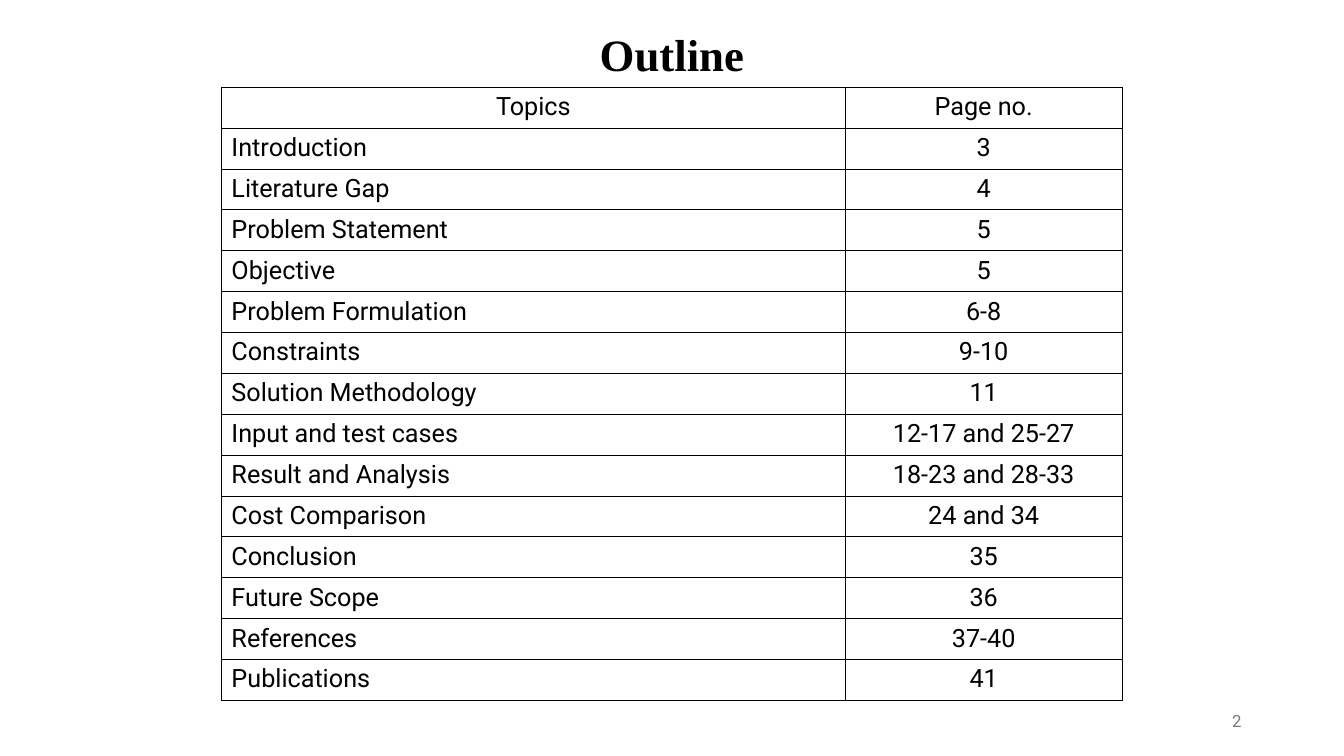
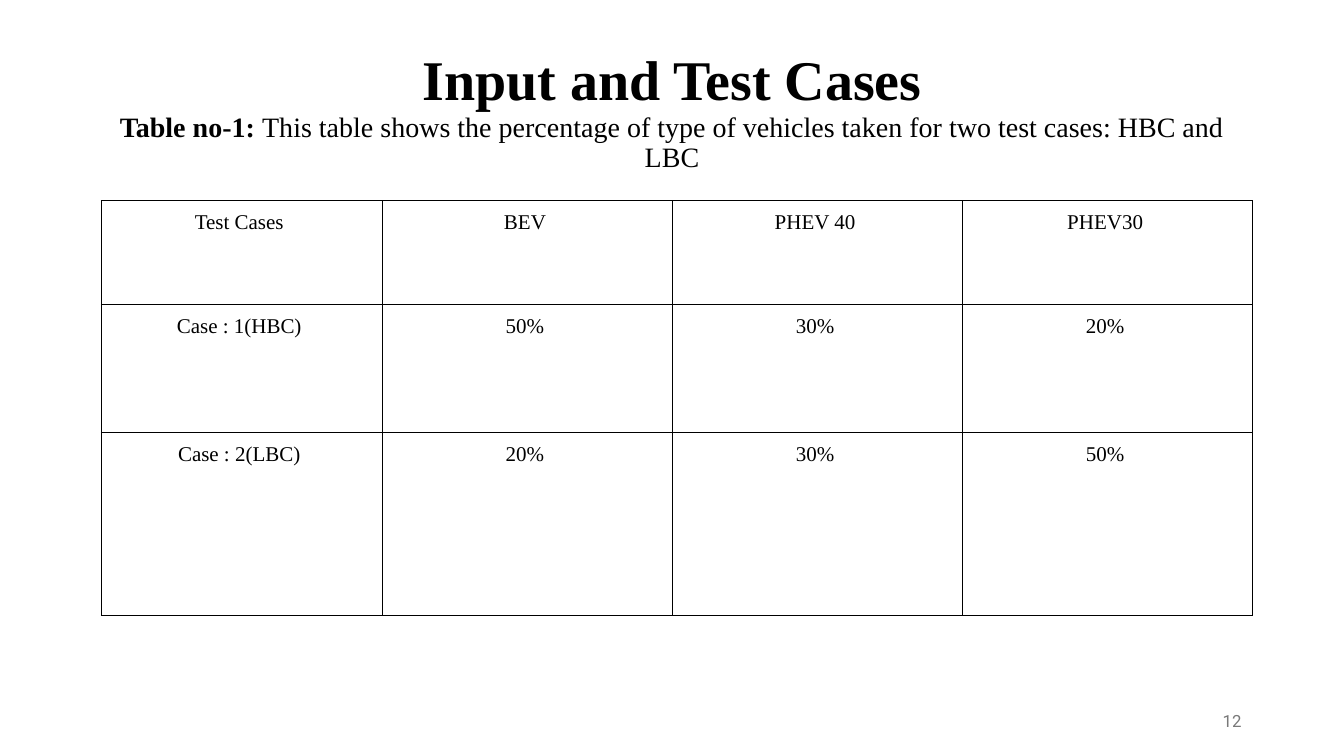
"""Build the outline and test-case slides."""
import pptx
import pptx.dml.color
import pptx.enum.text
import pptx.oxml
import pptx.oxml.ns
import pptx.util

Cm, Pt = pptx.util.Cm, pptx.util.Pt
ALIGN = pptx.enum.text.PP_ALIGN
MIDDLE = pptx.enum.text.MSO_ANCHOR.MIDDLE
BLACK, GREY = "000000", "797979"
SERIF, SANS = "Times New Roman", "Roboto"
LEFT, WIDE = 2.33, 29.21

TOPICS = [
    ("Topics", "Page no."),
    ("Introduction", "3"),
    ("Literature Gap", "4"),
    ("Problem Statement", "5"),
    ("Objective", "5"),
    ("Problem Formulation", "6-8"),
    ("Constraints", "9-10"),
    ("Solution Methodology", "11"),
    ("Input and test cases", "12-17 and 25-27"),
    ("Result and Analysis", "18-23 and 28-33"),
    ("Cost Comparison", "24 and 34"),
    ("Conclusion", "35"),
    ("Future Scope", "36"),
    ("References", "37-40"),
    ("Publications", "41"),
]
CASES = [
    ("Test Cases", "BEV", "PHEV 40", "PHEV30"),
    ("Case : 1(HBC)", "50%", "30%", "20%"),
    ("Case : 2(LBC)", "20%", "30%", "50%"),
]
LABEL = "Table no-1: "
NOTE = ("This table shows the percentage of type of vehicles taken "
        "for two test cases: HBC and LBC")


def color(code):
    return pptx.dml.color.RGBColor.from_string(code)


def style(para, name, size, code=BLACK, align=ALIGN.CENTER):
    para.alignment = align
    font = para.font
    font.name, font.size = name, Pt(size)
    font.color.rgb = color(code)


def add_text(slide, left, top, width, height):
    box = slide.shapes.add_textbox(Cm(left), Cm(top), Cm(width), Cm(height))
    frame = box.text_frame
    frame.word_wrap = True
    frame.vertical_anchor = MIDDLE
    return frame.paragraphs[0]


def add_slide(deck, title, top, height, size, number):
    slide = deck.slides.add_slide(deck.slide_layouts[6])
    head = add_text(slide, LEFT, top, WIDE, height)
    head.line_spacing = 0.9
    run = head.add_run()
    run.text = title
    run.font.bold = True
    style(head, SERIF, size)
    foot = add_text(slide, 23.92, 17.66, 7.62, 1.01)
    foot.text = number
    style(foot, SANS, 12, GREY, ALIGN.RIGHT)
    return slide, head


def add_border(cell):
    props = cell._tc.get_or_add_tcPr()
    space = pptx.oxml.ns.nsdecls("a")
    for spot, side in enumerate("LRTB"):
        line = pptx.oxml.parse_xml(
            f'<a:ln{side} {space} w="{Pt(0.75)}"><a:solidFill>'
            f'<a:srgbClr val="{BLACK}"/></a:solidFill></a:ln{side}>')
        props.insert(spot, line)


def add_table(slide, data, left, top, cols, rows):
    table = slide.shapes.add_table(
        len(rows), len(cols), Cm(left), Cm(top),
        Cm(sum(cols)), Cm(sum(rows))).table
    table.first_row = table.horz_banding = False
    for col, width in zip(table.columns, cols):
        col.width = Cm(width)
    for row, height, texts in zip(table.rows, rows, data):
        row.height = Cm(height)
        for cell, text in zip(row.cells, texts):
            cell.text = text
            cell.fill.background()
            add_border(cell)
    return table


def add_outline(deck):
    slide, _ = add_slide(deck, "Outline", 0.23, 2.41, 32, "2")
    table = add_table(slide, TOPICS, 5.58, 2.2,
                      [15.72, 6.98], [1.03] * len(TOPICS))
    for r, row in enumerate(table.rows):
        for c, cell in enumerate(row.cells):
            align = ALIGN.LEFT if r and not c else ALIGN.CENTER
            style(cell.text_frame.paragraphs[0], SANS, 18, align=align)


def add_cases(deck):
    slide, head = add_slide(deck, "Input and Test Cases", 1.01, 3.68, 40, "12")
    head.add_line_break()
    for text, bold in ((LABEL, True), (NOTE, False)):
        run = head.add_run()
        run.text = text
        run.font.size, run.font.bold = Pt(20), bold
    table = add_table(slide, CASES, 2.55, 5.06,
                      [7.09] + [7.31] * 3, [2.61, 3.23, 4.62])
    for cell in table.iter_cells():
        cell.margin_left, cell.margin_right = Cm(0.15), Cm(0.28)
        cell.margin_top = cell.margin_bottom = Cm(0.13)
        para = cell.text_frame.paragraphs[0]
        para.line_spacing, para.space_after = Pt(20.2), Pt(8)
        style(para, SERIF, 15)


def main():
    deck = pptx.Presentation()
    deck.slide_width, deck.slide_height = Cm(33.87), Cm(19.05)
    add_outline(deck)
    add_cases(deck)
    deck.save("out.pptx")


if __name__ == "__main__":
    main()
